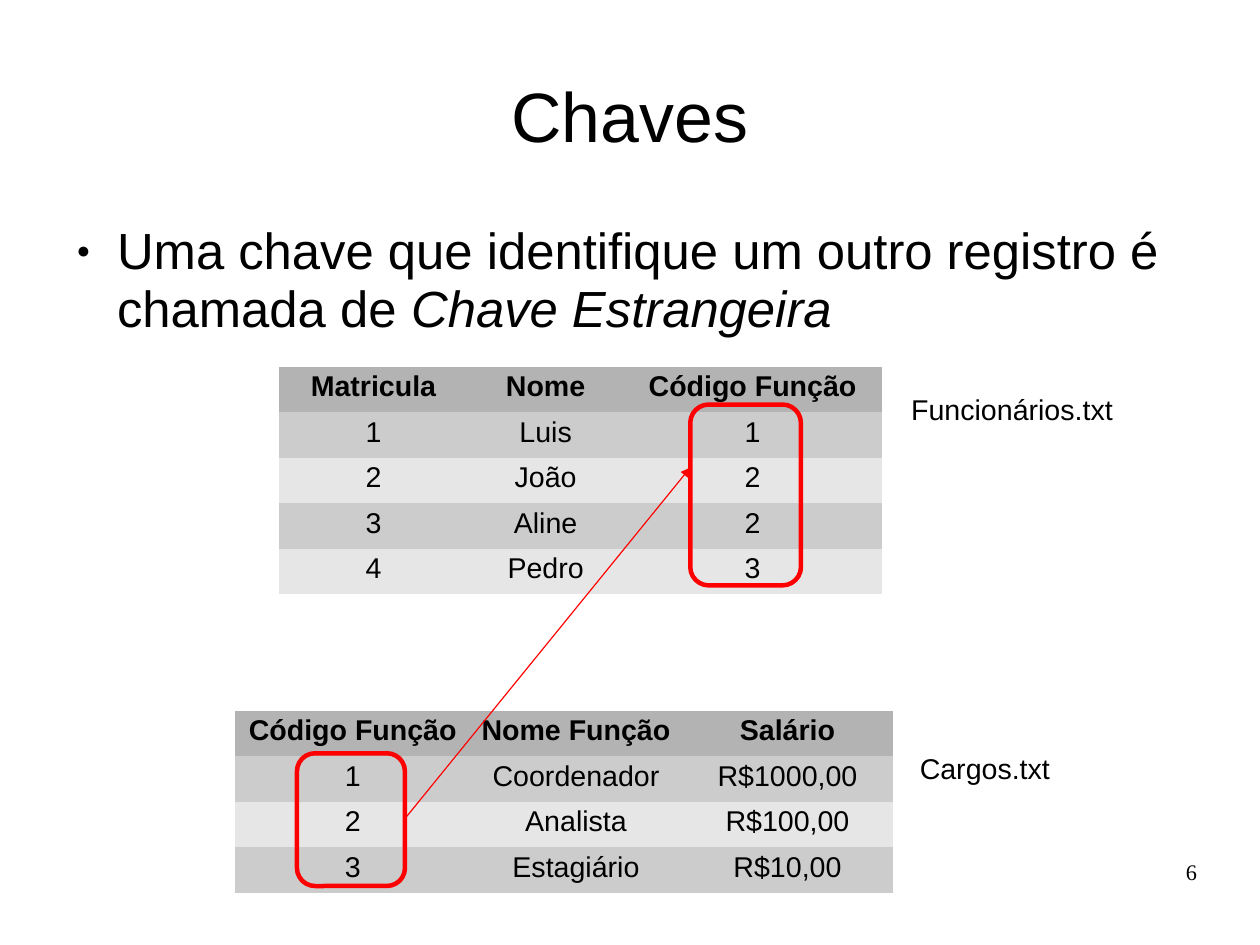
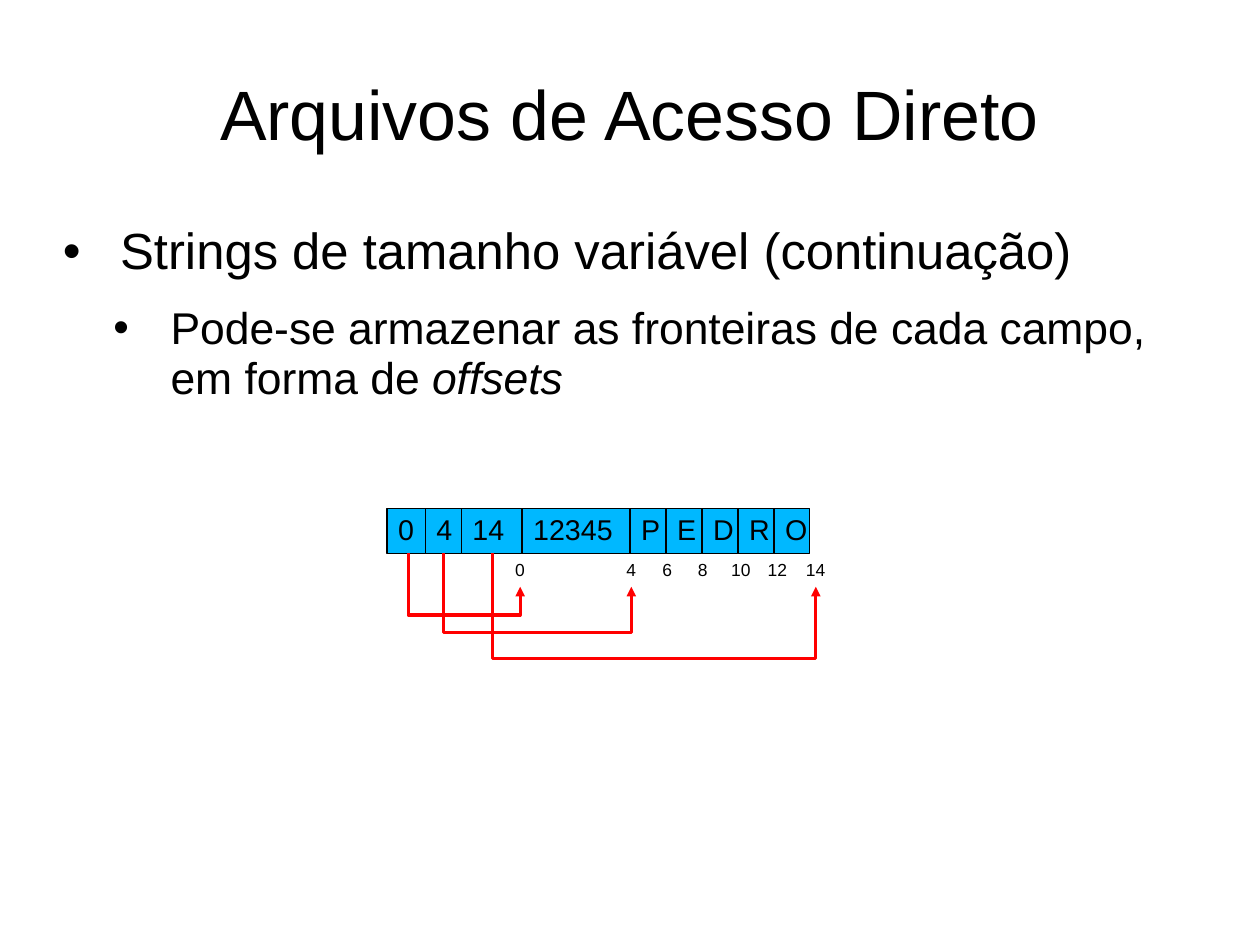
from lxml.etree import SubElement
from pptx import Presentation
from pptx.dml.color import RGBColor
from pptx.enum.shapes import MSO_CONNECTOR as CONN, MSO_SHAPE as SHAPE
from pptx.enum.text import MSO_ANCHOR as ANCHOR, MSO_AUTO_SIZE as AUTO, PP_ALIGN as ALIGN
from pptx.oxml.ns import qn
from pptx.util import Cm, Pt

BLACK, RED, BLUE = "000000", "FF0000", "00B8FF"
HEAD, BANDS = "B3B3B3", ("CCCCCC", "E6E6E6")
NO_STYLE = "{2D5ABB26-0587-4C30-8999-92F81FD0307C}"
TITLE_BOX = (1.4, 0.84, 25.2, 3.5)
ROW_H = 1.01


def rgb(value):
    """Turn a hex string into a colour."""
    return RGBColor.from_string(value)


def assign(obj, values):
    """Set each attribute named in a dict."""
    for name, value in values.items():
        setattr(obj, name, value)


def place(shape, box):
    """Move a shape to a box given in centimetres."""
    assign(shape, dict(zip(("left", "top", "width", "height"), map(Cm, box))))


def frame(tf, margins, **values):
    """Set the margins (left, top, right, bottom) and other values of a text frame or cell."""
    names = ("margin_left", "margin_top", "margin_right", "margin_bottom")
    assign(tf, dict(zip(names, map(Cm, margins))) | values)


def write(p, runs, size, font="Arial", bold=False, **values):
    """Fill a paragraph with (text, italic) runs."""
    assign(p, {"line_spacing": 0.94, "space_before": Pt(0)} | values)
    for text, italic in runs:
        r = p.add_run()
        r.text = text
        assign(r.font, {"name": font, "size": Pt(size), "bold": bold, "italic": italic})
        r.font.color.rgb = rgb(BLACK)


def bullet(p, char, scale, left, hang):
    """Give a paragraph a bullet and a hanging indent."""
    pPr = p._p.get_or_add_pPr()
    pPr.set("marL", str(Cm(left)))
    pPr.set("indent", str(-Cm(hang)))
    color = SubElement(pPr, qn("a:buClr"))
    SubElement(color, qn("a:srgbClr"), val=BLACK)
    SubElement(pPr, qn("a:buSzPct"), val=str(scale * 1000))
    SubElement(pPr, qn("a:buFont"), typeface="Arial")
    SubElement(pPr, qn("a:buChar"), char=char)


def add_slide(prs, title, body_h, items, title_inset=0):
    """Add a slide with a title and a bulleted list."""
    s = prs.slides.add_slide(prs.slide_layouts[1])
    head, body = s.placeholders
    place(head, TITLE_BOX)
    frame(head.text_frame, (0, title_inset, 0, 0), vertical_anchor=ANCHOR.MIDDLE, auto_size=AUTO.NONE)
    write(head.text_frame.paragraphs[0], [(title, False)], 44, alignment=ALIGN.CENTER)
    place(body, (1.4, 4.9, 25.2, body_h))
    tf = body.text_frame
    frame(tf, (0, 0.08, 0, 0), auto_size=AUTO.NONE)
    for i, (runs, size, after, mark) in enumerate(items):
        p = tf.add_paragraph() if i else tf.paragraphs[0]
        write(p, runs, size, level=i, space_after=Pt(after))
        bullet(p, *mark)
    return s


def add_label(s, box, text, size, margins=(0.25, 0.16, 0.25, 0.13), wrap=True, **values):
    """Add a text box of one line."""
    tf = s.shapes.add_textbox(*map(Cm, box)).text_frame
    frame(tf, margins, word_wrap=wrap)
    write(tf.paragraphs[0], [(text, False)], size, **values)


def add_file(s, x, y, widths, rows, ring, label, name):
    """Add a record table with a ring round its key column and its file name."""
    box = (x, y, sum(widths), ROW_H * len(rows))
    table = s.shapes.add_table(len(rows), len(widths), *map(Cm, box)).table
    assign(table, {"first_row": False, "horz_banding": False})
    table._tbl.tblPr.find(qn("a:tableStyleId")).text = NO_STYLE
    for col, width in zip(table.columns, widths):
        col.width = Cm(width)
    for i, values in enumerate(rows):
        table.rows[i].height = Cm(ROW_H)
        for cell, text in zip(table.rows[i].cells, values):
            cell.fill.solid()
            cell.fill.fore_color.rgb = rgb(BANDS[(i - 1) % 2] if i else HEAD)
            frame(cell, (0.15, 0.13, 0.15, 0.13))
            write(cell.text_frame.paragraphs[0], [(text, False)], 18, bold=not i,
                  alignment=ALIGN.CENTER)
    dx, dy, w, h = ring
    oval = s.shapes.add_shape(SHAPE.ROUNDED_RECTANGLE, *map(Cm, (x + dx, y + dy, w, h)))
    oval.shadow.inherit = False
    oval.fill.background()
    oval.line.color.rgb = rgb(RED)
    oval.line.width = Pt(2.83)
    dx, dy, w = label
    add_label(s, (x + dx, y + dy, w, 0.97), name, 18)


def add_arrow(s, kind, ends, width):
    """Add a red connector with an arrowhead at its end."""
    c = s.shapes.add_connector(kind, *map(Cm, ends))
    c.line.color.rgb = rgb(RED)
    c.line.width = Pt(width)
    SubElement(c.line._get_or_add_ln(), qn("a:tailEnd"), type="triangle")
    SubElement(c._element.spPr, qn("a:effectLst"))
    return c


def add_hook(s, x1, x2, y, rise, depth):
    """Add an arrow that drops by depth from x1 and climbs back to x2."""
    mid_x, mid_y, half = (x1 + x2) / 2, y + rise / 2, (x2 - x1) / 2
    ends = (mid_x + rise / 2, mid_y - half, mid_x - rise / 2, mid_y + half)
    c = add_arrow(s, CONN.ELBOW, ends, 2)
    c._element.spPr.find(qn("a:xfrm")).set("rot", str(270 * 60000))
    guides = c._element.spPr.find(qn("a:prstGeom")).find(qn("a:avLst"))
    SubElement(guides, qn("a:gd"), name="adj1", fmla=f"val {round(depth / rise * 100000)}")


def add_record(s, x, y, fields, marks, hooks):
    """Add a row of fields with offset marks below and hooks from fields to marks."""
    left, height = x, 1
    for text, width in fields:
        cell = s.shapes.add_shape(SHAPE.RECTANGLE, *map(Cm, (left, y, width, height)))
        cell.shadow.inherit = False
        cell.fill.solid()
        cell.fill.fore_color.rgb = rgb(BLUE)
        cell.line.color.rgb = rgb(BLACK)
        cell.line.width = Pt(0.75)
        frame(cell.text_frame, (0.25, 0.13, 0.25, 0.13), vertical_anchor=ANCHOR.TOP)
        write(cell.text_frame.paragraphs[0], [(text, False)], 18, alignment=ALIGN.LEFT)
        left += width
    for text, dx in marks.items():
        width = 0.5 + 0.22 * len(text)
        add_label(s, (x + dx - width / 2, y + height, width, 0.74), text, 11,
                  (0.25, 0.13, 0.25, 0.13), False, line_spacing=1.0)
    for start, mark, depth in hooks:
        add_hook(s, x + start, x + marks[mark], y + height, 0.74, depth)


def keys_slide(prs):
    """Build the slide on foreign keys."""
    text = [("Uma chave que identifique um outro registro é chamada de ", False),
            ("Chave Estrangeira", True)]
    s = add_slide(prs, "Chaves", 12.2, [(text, 32, 14.3, ("●", 45, 1.2, 0.9))], 0.1)
    add_label(s, (20.07, 19.13, 6.53, 1.45), "6", 14, (0, 0, 0, 0),
              font="Times New Roman", alignment=ALIGN.RIGHT)
    staff = [("Matricula", "Nome", "Código Função"), ("1", "Luis", "1"), ("2", "João", "2"),
             ("3", "Aline", "2"), ("4", "Pedro", "3")]
    jobs = [("Código Função", "Nome Função", "Salário"), ("1", "Coordenador", "R$1000,00"),
            ("2", "Analista", "R$100,00"), ("3", "Estagiário", "R$10,00")]
    add_file(s, 6.2, 8.15, (4.2, 3.45, 5.75), staff, (9.14, 0.84, 2.46, 4.02),
             (13.8, 0.46, 5.6), "Funcionários.txt")
    add_file(s, 5.23, 15.8, (5.22, 4.7, 4.7), jobs, (1.37, 0.94, 2.4, 2.95),
             (14.96, 0.79, 4), "Cargos.txt")
    add_arrow(s, CONN.STRAIGHT, (9, 18.19, 15.34, 10.39), 0.75)


def offsets_slide(prs):
    """Build the slide on field offsets."""
    first = [("Strings de tamanho variável (continuação)", False)]
    second = [("Pode-se armazenar as fronteiras de cada campo, em forma de ", False),
              ("offsets", True)]
    s = add_slide(prs, "Arquivos de Acesso Direto", 5.66,
                  [(first, 32, 14.3, ("•", 100, 1.27, 1.27)),
                   (second, 28, 11.4, ("•", 100, 2.39, 1.27))])
    fields = [("0", 0.85), ("4", 0.8), ("14", 1.35), ("12345", 2.4)]
    fields += [(letter, 0.8) for letter in "PEDRO"]
    marks = {"0": 2.96, "4": 5.43, "6": 6.23, "8": 7.02, "10": 7.87, "12": 8.68, "14": 9.53}
    hooks = [(0.47, "0", 1.37), (1.26, "4", 1.75), (2.35, "14", 2.34)]
    add_record(s, 8.6, 11.3, fields, marks, hooks)


def main():
    """Build and save the presentation."""
    prs = Presentation()
    assign(prs, {"slide_width": Cm(28), "slide_height": Cm(21)})
    keys_slide(prs)
    offsets_slide(prs)
    prs.save("out.pptx")


if __name__ == "__main__":
    main()
